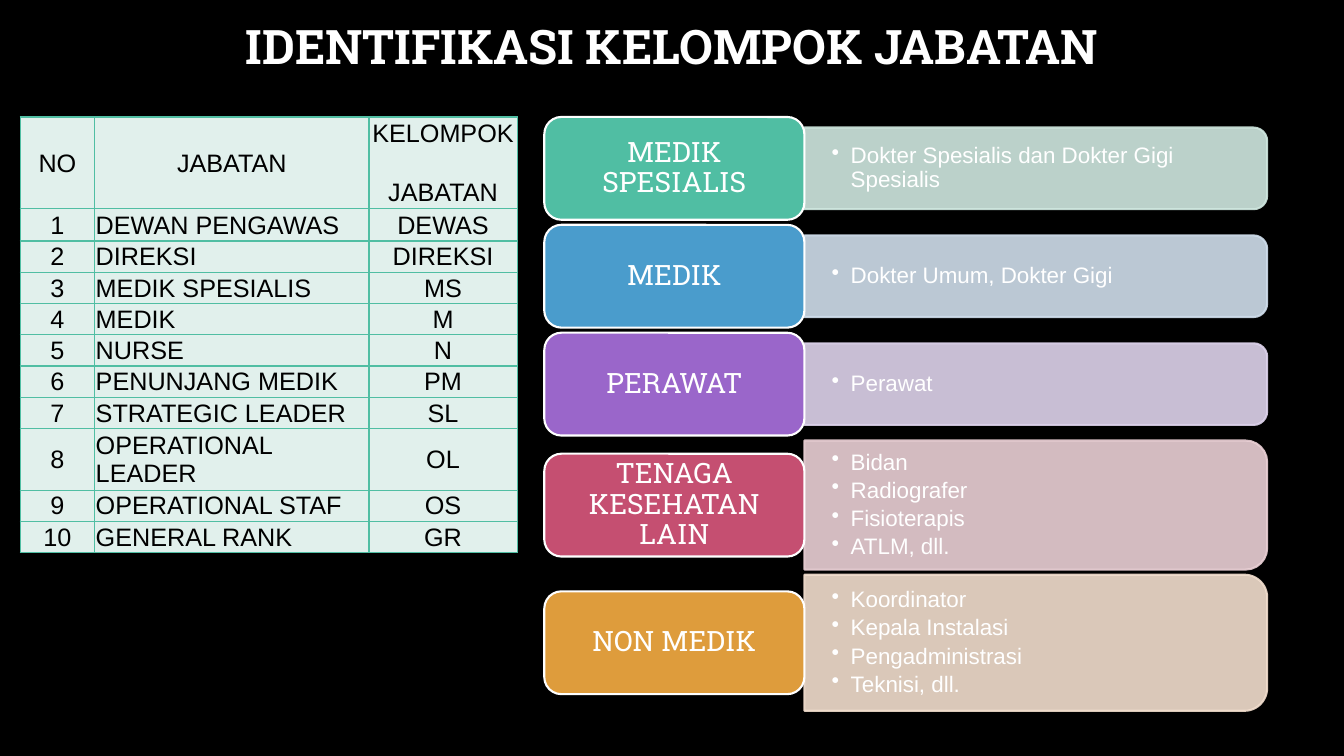
"""Build a slide with a table of job groups beside five labelled group panels."""
import dataclasses
import typing

import lxml.etree
import pptx
import pptx.dml.color
import pptx.enum.shapes
import pptx.enum.text
import pptx.oxml.ns
import pptx.util

SLIDE_WIDTH = pptx.util.Inches(13.33)
SLIDE_HEIGHT = pptx.util.Inches(7.5)
CENTER = pptx.enum.text.PP_ALIGN.CENTER
LEFT = pptx.enum.text.PP_ALIGN.LEFT
MIDDLE = pptx.enum.text.MSO_ANCHOR.MIDDLE
SHAPES = pptx.enum.shapes.MSO_SHAPE

COLOURS = {
    "background": "000000", "ink": "000000", "white": "FFFFFF",
    "cell": "E1F0EC", "border": "50BEA3",
    "green": "50BEA3", "pale green": "D0E8E0",
    "blue": "4A9CCC", "pale blue": "D0DEEC",
    "purple": "9A66CA", "pale purple": "DED3EC",
    "red": "C54F71", "pale red": "EAD0D5",
    "orange": "DE9C3C", "pale orange": "F2DECE",
}


@dataclasses.dataclass(frozen=True)
class Style:
    size: float
    font: str
    colour: str
    bold: bool = False


@dataclasses.dataclass(frozen=True)
class JobGroup:
    label: str
    colour: str
    panel_share: float
    members: tuple[str, ...]


TITLE = Style(34, "Roboto Slab", "white", True)
LABEL = Style(20, "Roboto Slab", "white")
MEMBER = Style(16, "Arial", "white")
CELL = Style(18, "Arial", "ink")

GROUPS = (
    JobGroup("MEDIK SPESIALIS", "green", 10.8, ("Dokter Spesialis dan Dokter Gigi Spesialis",)),
    JobGroup("MEDIK", "blue", 10.8, ("Dokter Umum, Dokter Gigi",)),
    JobGroup("PERAWAT", "purple", 10.8, ("Perawat",)),
    JobGroup("TENAGA KESEHATAN LAIN", "red", 17.07,
             ("Bidan", "Radiografer", "Fisioterapis", "ATLM, dll.")),
    JobGroup("NON MEDIK", "orange", 18,
             ("Koordinator", "Kepala Instalasi", "Pengadministrasi", "Teknisi, dll.")),
)
JOBS = (
    ("DEWAN PENGAWAS", "DEWAS"), ("DIREKSI", "DIREKSI"), ("MEDIK SPESIALIS", "MS"),
    ("MEDIK", "M"), ("NURSE", "N"), ("PENUNJANG MEDIK", "PM"),
    ("STRATEGIC LEADER", "SL"), ("OPERATIONAL LEADER", "OL"),
    ("OPERATIONAL STAF", "OS"), ("GENERAL RANK", "GR"),
)
CONTENT_TOP = 15.47
TABLE_LEFT = 1.5
COLUMN_SHARES = (5.55, 20.4, 11.03)
HEADER_SHARE, FIRST_ROW_SHARE, ROW_SHARE = 11.2, 4.27, 3.9
LABEL_LEFT, LABEL_WIDTH, LABEL_HEIGHT = 40.5, 19.35, 13.6
PANEL_LEFT, PANEL_WIDTH = 59.85, 34.43
GROUP_GAP = 0.67


def across(share: float) -> int:
    """Turn a percentage of the slide's width into a length."""
    return round(SLIDE_WIDTH * share / 100)


def down(share: float) -> int:
    """Turn a percentage of the slide's height into a length."""
    return round(SLIDE_HEIGHT * share / 100)


def colour(name: str) -> pptx.dml.color.RGBColor:
    """Look up a named colour."""
    return pptx.dml.color.RGBColor.from_string(COLOURS[name])


def add_span(para: typing.Any, text: str, style: Style) -> None:
    """Add one styled run to a paragraph."""
    span = para.add_run()
    span.text = text
    span.font.size = pptx.util.Pt(style.size)
    span.font.name = style.font
    span.font.bold = style.bold
    span.font.color.rgb = colour(style.colour)


def prepare_frame(frame: typing.Any, side: float, edge: float) -> None:
    """Wrap and centre a text frame vertically, with insets in inches."""
    frame.word_wrap = True
    frame.vertical_anchor = MIDDLE
    frame.margin_left = frame.margin_right = pptx.util.Inches(side)
    frame.margin_top = frame.margin_bottom = pptx.util.Inches(edge)


def paint(shape: typing.Any, fill: str, line: str) -> None:
    """Give a shape its fill and outline."""
    shape.shadow.inherit = False
    shape.fill.solid()
    shape.fill.fore_color.rgb = colour(fill)
    shape.line.color.rgb = colour(line)
    shape.line.width = pptx.util.Pt(1.5)


def add_title(page: typing.Any, text: str) -> None:
    """Add the centred heading."""
    box = page.shapes.add_textbox(across(7.5), 0, across(85), down(13))
    prepare_frame(box.text_frame, 0.1, 0.05)
    para = box.text_frame.paragraphs[0]
    para.alignment = CENTER
    para.line_spacing = 0.9
    add_span(para, text, TITLE)


def fill_cell(cell: typing.Any, text: str, alignment: typing.Any) -> None:
    """Write, border and fill one table cell."""
    cell.vertical_anchor = MIDDLE
    cell.margin_left = cell.margin_right = cell.margin_top = pptx.util.Inches(0.01)
    cell.margin_bottom = 0
    para = cell.text_frame.paragraphs[0]
    para.alignment = alignment
    for index, line in enumerate(text.split("\n")):
        if index:
            para.add_line_break()
        add_span(para, line, CELL)
    qualified = pptx.oxml.ns.qn
    properties = cell._tc.get_or_add_tcPr()
    for side in ("a:lnL", "a:lnR", "a:lnT", "a:lnB"):
        border = lxml.etree.SubElement(properties, qualified(side), w=str(pptx.util.Pt(1)))
        solid = lxml.etree.SubElement(border, qualified("a:solidFill"))
        lxml.etree.SubElement(solid, qualified("a:srgbClr"), val=COLOURS["border"])
    cell.fill.solid()
    cell.fill.fore_color.rgb = colour("cell")


def add_job_table(page: typing.Any) -> None:
    """Add the numbered table of jobs and their groups."""
    rows = [("NO", "JABATAN", "KELOMPOK \nJABATAN")]
    rows += [(str(number), *job) for number, job in enumerate(JOBS, 1)]
    heights = [HEADER_SHARE, FIRST_ROW_SHARE] + [ROW_SHARE] * (len(JOBS) - 1)
    table = page.shapes.add_table(
        len(rows), len(COLUMN_SHARES), across(TABLE_LEFT), down(CONTENT_TOP),
        across(sum(COLUMN_SHARES)), down(sum(heights))).table
    table.horz_banding = table.first_row = False
    for column, share in zip(table.columns, COLUMN_SHARES):
        column.width = across(share)
    for row_index, (texts, share) in enumerate(zip(rows, heights)):
        table.rows[row_index].height = down(share)
        for column_index, text in enumerate(texts):
            is_job = row_index > 0 and column_index == 1
            fill_cell(table.cell(row_index, column_index), text, LEFT if is_job else CENTER)


def add_panel(page: typing.Any, group: JobGroup, middle: int) -> None:
    """Add the translucent panel with its bulleted members."""
    length, thickness = across(PANEL_WIDTH), down(group.panel_share)
    panel = page.shapes.add_shape(
        SHAPES.ROUND_2_SAME_RECTANGLE, across(PANEL_LEFT) + (length - thickness) // 2,
        middle - length // 2, thickness, length)
    panel.rotation = 90
    paint(panel, "pale " + group.colour, "pale " + group.colour)
    qualified = pptx.oxml.ns.qn
    for tint in panel._element.spPr.iter(qualified("a:srgbClr")):
        lxml.etree.SubElement(tint, qualified("a:alpha"), val="90000")
    box = page.shapes.add_textbox(
        across(PANEL_LEFT), middle - thickness // 2, across(PANEL_WIDTH - 0.4), thickness)
    prepare_frame(box.text_frame, 0.27, 0.14)
    for index, member in enumerate(group.members):
        para = box.text_frame.add_paragraph() if index else box.text_frame.paragraphs[0]
        para.line_spacing = 0.9
        para.space_after = pptx.util.Pt(2.8)
        properties = para._p.get_or_add_pPr()
        indent = pptx.util.Inches(0.19)
        properties.set("marL", str(indent))
        properties.set("indent", str(-indent))
        lxml.etree.SubElement(properties, qualified("a:buChar"), char="•")
        add_span(para, member, MEMBER)


def add_label(page: typing.Any, group: JobGroup, middle: int) -> None:
    """Add the rounded box that names a group."""
    height = down(LABEL_HEIGHT)
    box = page.shapes.add_shape(SHAPES.ROUNDED_RECTANGLE, across(LABEL_LEFT),
                                middle - height // 2, across(LABEL_WIDTH), height)
    paint(box, group.colour, "white")
    prepare_frame(box.text_frame, 0.08, 0.04)
    para = box.text_frame.paragraphs[0]
    para.alignment = CENTER
    para.line_spacing = 0.9
    add_span(para, group.label, LABEL)


def main() -> None:
    """Build and save the deck."""
    deck = pptx.Presentation()
    deck.slide_width, deck.slide_height = SLIDE_WIDTH, SLIDE_HEIGHT
    page = deck.slides.add_slide(deck.slide_layouts[6])
    page.background.fill.solid()
    page.background.fill.fore_color.rgb = colour("background")
    add_title(page, "IDENTIFIKASI KELOMPOK JABATAN")
    add_job_table(page)
    top = CONTENT_TOP
    for group in GROUPS:
        share = max(LABEL_HEIGHT, group.panel_share)
        middle = down(top + share / 2)
        add_panel(page, group, middle)
        add_label(page, group, middle)
        top += share + GROUP_GAP
    deck.save("out.pptx")


if __name__ == "__main__":
    main()
